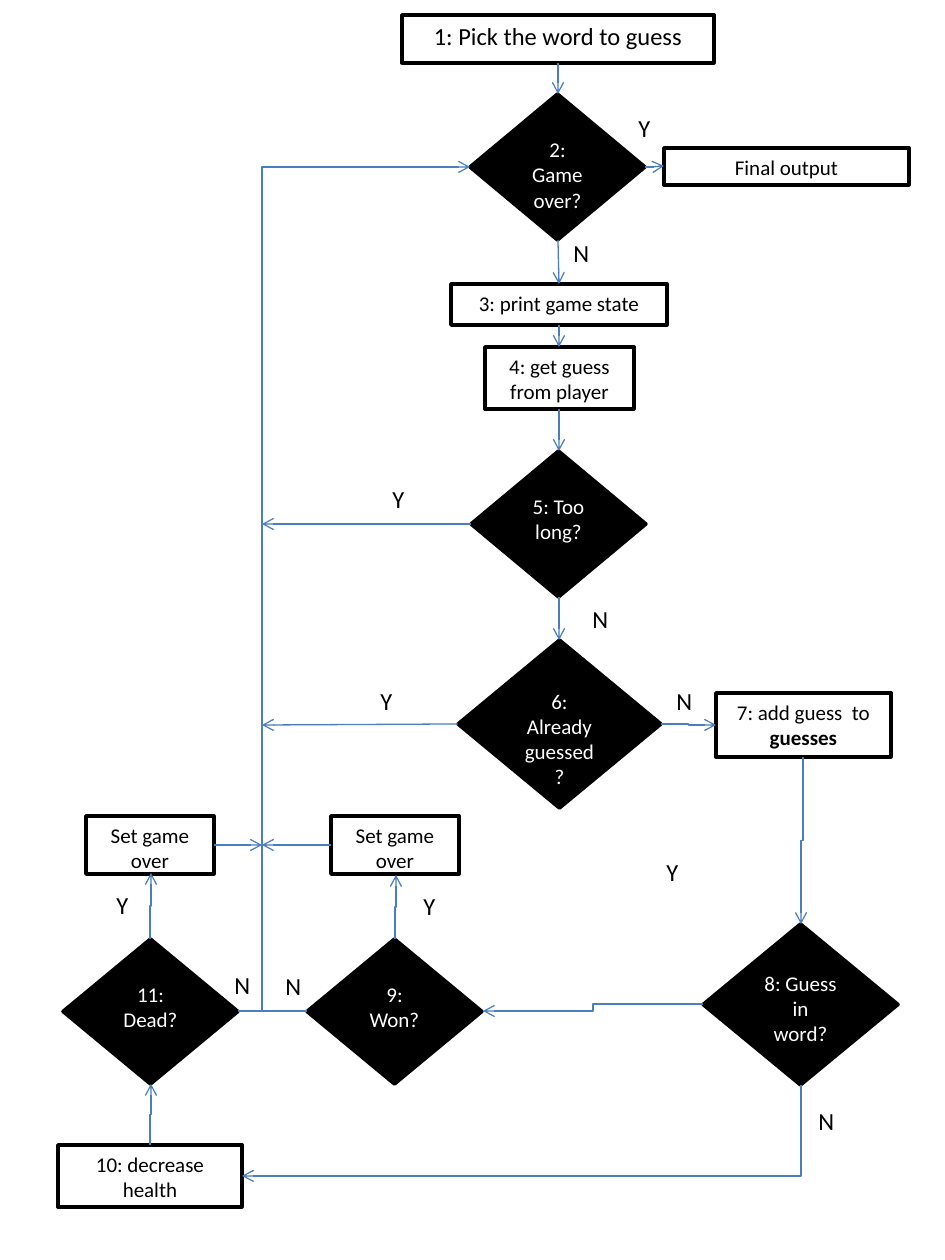
from typing import NamedTuple

from pptx import Presentation
from pptx.dml.color import RGBColor
from pptx.enum.shapes import MSO_CONNECTOR, MSO_SHAPE
from pptx.enum.text import MSO_ANCHOR, MSO_AUTO_SIZE, PP_ALIGN
from pptx.oxml.ns import qn
from pptx.oxml.xmlchemy import OxmlElement
from pptx.util import Emu, Pt

RECTANGLE, DIAMOND = MSO_SHAPE.RECTANGLE, MSO_SHAPE.DIAMOND
STRAIGHT, ELBOW = MSO_CONNECTOR.STRAIGHT, MSO_CONNECTOR.ELBOW
TOP, CENTER = MSO_ANCHOR.TOP, PP_ALIGN.CENTER
GROW = MSO_AUTO_SIZE.SHAPE_TO_FIT_TEXT

PIXEL = 914400 / 126
QUARTER_TURN = 90 * 60000
COLORS = {"black": "000000", "white": "FFFFFF", "arrow": "4B7EBC"}
FILLS = {RECTANGLE: ("white", "black"), DIAMOND: ("black", "white")}
LABEL_WIDTHS = {"Y": 38, "N": 42}
LABEL_HEIGHT = 43


class Node(NamedTuple):
    """A step or a decision of the flowchart."""
    kind: int
    left: int
    top: int
    width: int
    height: int
    text: str
    bold_text: str = ""
    size: int = 12


class Link(NamedTuple):
    """A line between two points; bends is 0, 1 or 2."""
    start: tuple[int, int]
    end: tuple[int, int]
    bends: int = 0
    vertical: bool = False
    arrow: bool = True
    bend_at: float = 0.5


class Label(NamedTuple):
    """The answer beside a branch."""
    text: str
    left: int
    top: int


NODES = [
    Node(RECTANGLE, 402, 15, 312, 48, "1: Pick the word to guess", size=14),
    Node(DIAMOND, 470, 94, 175, 146, "2: Game over?"),
    Node(RECTANGLE, 485, 347, 149, 62, "4: get guess from player"),
    Node(RECTANGLE, 451, 284, 216, 41, "3: print game state"),
    Node(DIAMOND, 471, 451, 175, 146, "5: Too long?"),
    Node(DIAMOND, 458, 640, 203, 168, "6: Already guessed?"),
    Node(RECTANGLE, 716, 693, 175, 64, "7: add guess  to ", "guesses"),
    Node(DIAMOND, 703, 924, 195, 161, "8: Guess in word?"),
    Node(DIAMOND, 307, 939, 175, 145, "9: Won?"),
    Node(RECTANGLE, 664, 148, 245, 37, "Final output"),
    Node(RECTANGLE, 331, 816, 128, 58, "Set game over"),
    Node(RECTANGLE, 58, 1145, 184, 62, "10: decrease health"),
    Node(DIAMOND, 63, 939, 175, 145, "11: Dead?"),
    Node(RECTANGLE, 86, 816, 128, 58, "Set game over"),
]

RETURN_X = 262  # the line that leads back to step 2
LINKS = [
    Link((558, 63), (558, 94)),
    Link((558, 240), (559, 284)),
    Link((559, 325), (559, 347)),
    Link((559, 409), (559, 451)),
    Link((559, 597), (559, 640), 2, True),
    Link((661, 724), (716, 725), 2),
    Link((803, 757), (801, 924), 2, True),
    Link((703, 1004), (483, 1011), 2),
    Link((395, 939), (396, 875), 2, True),
    Link((645, 167), (664, 166), 2),
    Link((150, 1145), (151, 1084), 2, True),
    Link((150, 939), (151, 873), 2, True),
    Link((307, 1011), (RETURN_X, 305), 1, arrow=False),
    Link((238, 1011), (RETURN_X, 900), 1, arrow=False),
    Link((331, 845), (RETURN_X, 845), 2),
    Link((214, 845), (RETURN_X, 845)),
    Link((458, 724), (RETURN_X, 725)),
    Link((471, 524), (RETURN_X, 524)),
    Link((801, 1085), (242, 1176), 1, True),
    Link((RETURN_X, 305), (470, 167), 2, bend_at=0.0),
]

LABELS = [
    Label("Y", 626, 107), Label("N", 561, 232), Label("Y", 104, 884),
    Label("Y", 411, 885), Label("Y", 654, 851), Label("Y", 368, 680),
    Label("Y", 380, 478), Label("N", 222, 964), Label("N", 806, 1100),
    Label("N", 664, 680), Label("N", 580, 598), Label("N", 273, 965),
]


def px(value: float) -> Emu:
    """Turn pixels into EMU."""
    return Emu(round(value * PIXEL))


def color(name: str) -> RGBColor:
    """Look up a named colour."""
    return RGBColor.from_string(COLORS[name])


def add_run(paragraph, text: str, size: int, color_name: str, bold: bool = False) -> None:
    """Add a formatted run to a paragraph."""
    run = paragraph.add_run()
    run.text = text
    for name, value in {"name": "Calibri", "size": Pt(size), "bold": bold}.items():
        setattr(run.font, name, value)
    run.font.color.rgb = color(color_name)


def add_node(slide, node: Node) -> None:
    """Draw one step or decision with its text."""
    fill_name, text_name = FILLS[node.kind]
    shape = slide.shapes.add_shape(
        node.kind, px(node.left), px(node.top), px(node.width), px(node.height))
    shape.shadow.inherit = False
    shape.fill.solid()
    shape.fill.fore_color.rgb = color(fill_name)
    shape.line.color.rgb = color("black")
    shape.line.width = Pt(2)
    for name, value in {"word_wrap": True, "vertical_anchor": TOP}.items():
        setattr(shape.text_frame, name, value)
    paragraph = shape.text_frame.paragraphs[0]
    paragraph.alignment = CENTER
    add_run(paragraph, node.text, node.size, text_name)
    if node.bold_text:
        add_run(paragraph, node.bold_text, node.size, text_name, bold=True)


def turn_vertical(connector, link: Link) -> None:
    """Make an elbow leave its start vertically: a quarter turn about its middle."""
    (start_x, start_y), (end_x, end_y) = link.start, link.end
    width, height = abs(end_y - start_y), abs(end_x - start_x)
    frame = {
        "left": px((start_x + end_x - width) / 2),
        "top": px((start_y + end_y - height) / 2),
        "width": px(width),
        "height": px(height),
    }
    for name, value in frame.items():
        setattr(connector, name, value)
    transform = connector.element.spPr.find(qn("a:xfrm"))
    transform.set("rot", str(QUARTER_TURN))
    transform.set("flipH", str(int(end_y < start_y)))
    transform.set("flipV", str(int(end_x > start_x)))


def add_link(slide, link: Link) -> None:
    """Draw one straight or bent line, with an arrowhead where asked."""
    connector = slide.shapes.add_connector(
        ELBOW if link.bends else STRAIGHT, *map(px, link.start + link.end))
    connector.line.color.rgb = color("arrow")
    connector.line.width = Pt(0.75)
    properties = connector.element.spPr
    properties.append(OxmlElement("a:effectLst"))
    if link.vertical:
        turn_vertical(connector, link)
    geometry = properties.find(qn("a:prstGeom"))
    if link.bends == 1:
        geometry.set("prst", "bentConnector2")
    elif link.bends == 2:
        guide = OxmlElement("a:gd")
        guide.set("name", "adj1")
        guide.set("fmla", f"val {round(link.bend_at * 100000)}")
        geometry.find(qn("a:avLst")).append(guide)
    if link.arrow:
        arrowhead = OxmlElement("a:tailEnd")
        arrowhead.set("type", "arrow")
        properties.find(qn("a:ln")).append(arrowhead)


def add_label(slide, label: Label) -> None:
    """Write one branch answer."""
    box = slide.shapes.add_textbox(
        px(label.left), px(label.top), px(LABEL_WIDTHS[label.text]), px(LABEL_HEIGHT))
    for name, value in {"word_wrap": False, "auto_size": GROW}.items():
        setattr(box.text_frame, name, value)
    add_run(box.text_frame.paragraphs[0], label.text, 14, "black")


def main() -> None:
    """Build and save the flowchart."""
    presentation = Presentation()
    presentation.slide_width, presentation.slide_height = px(945), px(1260)
    slide = presentation.slides.add_slide(presentation.slide_layouts[6])
    for node in NODES:
        add_node(slide, node)
    for link in LINKS:
        add_link(slide, link)
    for label in LABELS:
        add_label(slide, label)
    presentation.save("out.pptx")


main()
